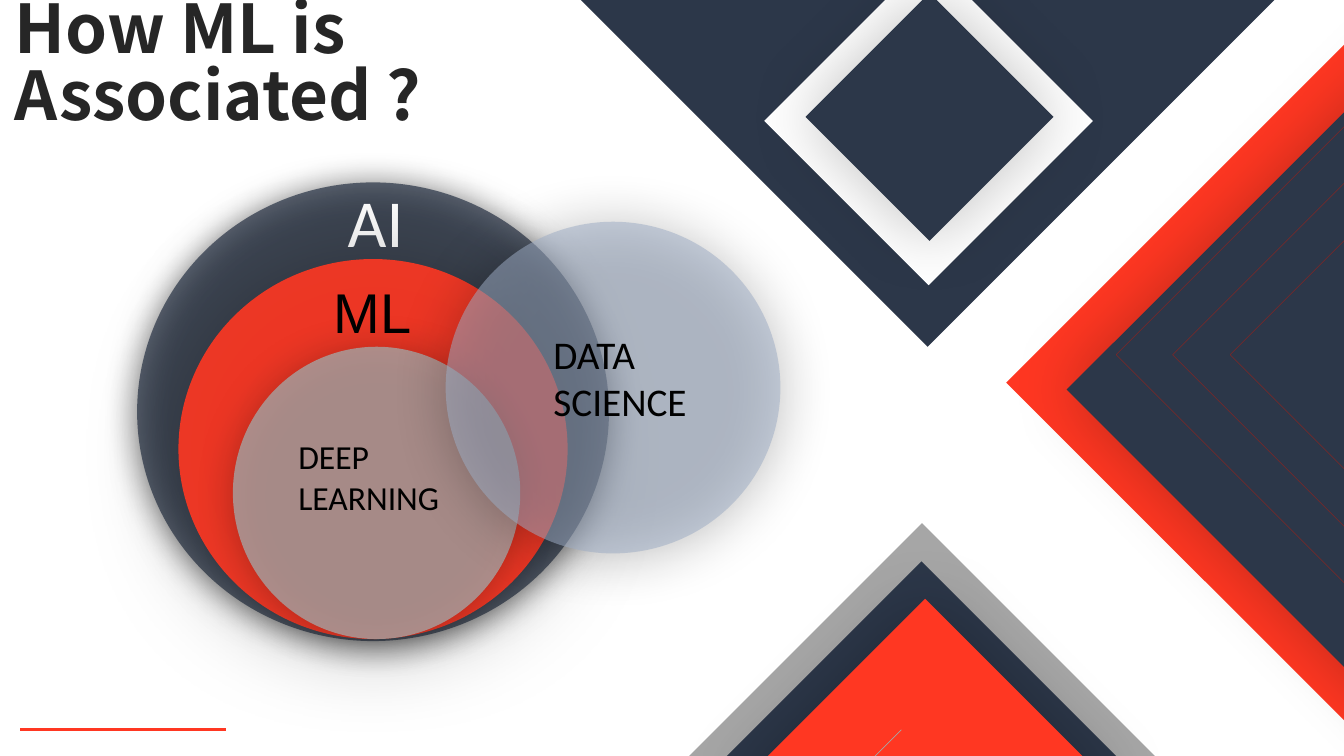
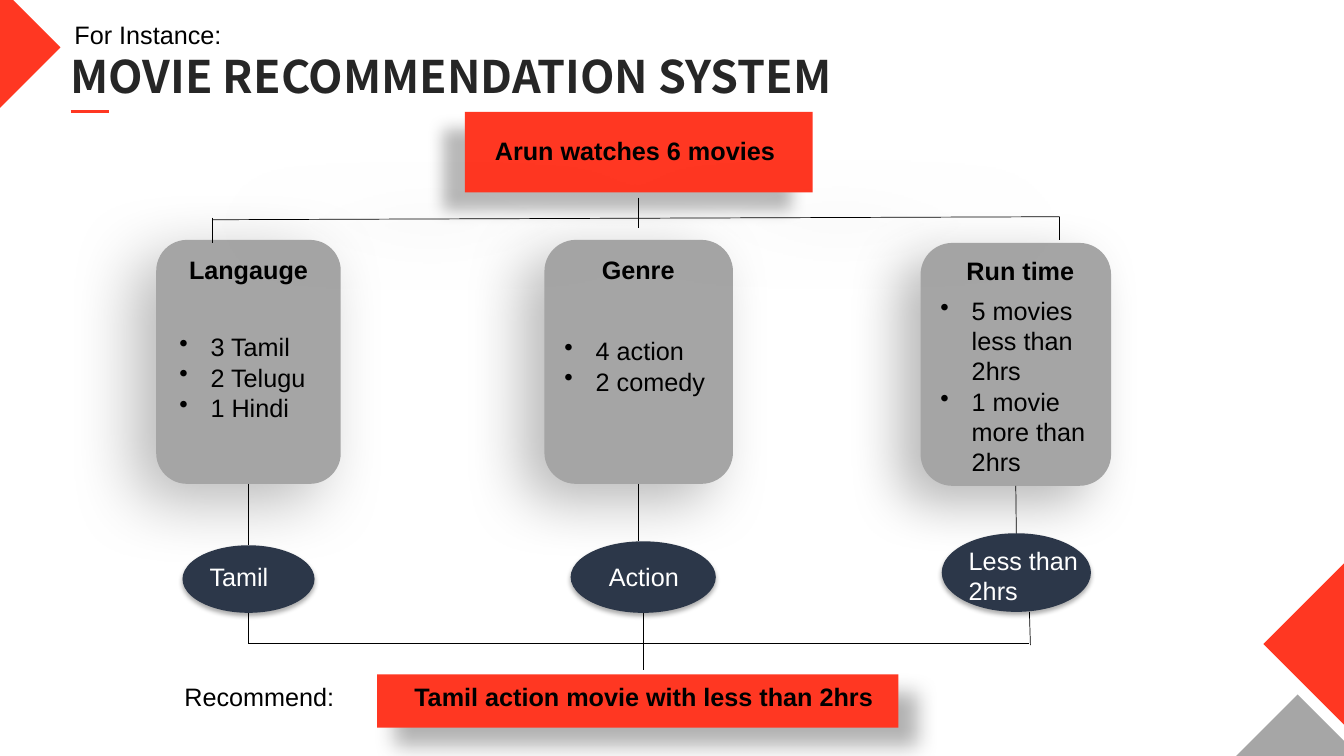
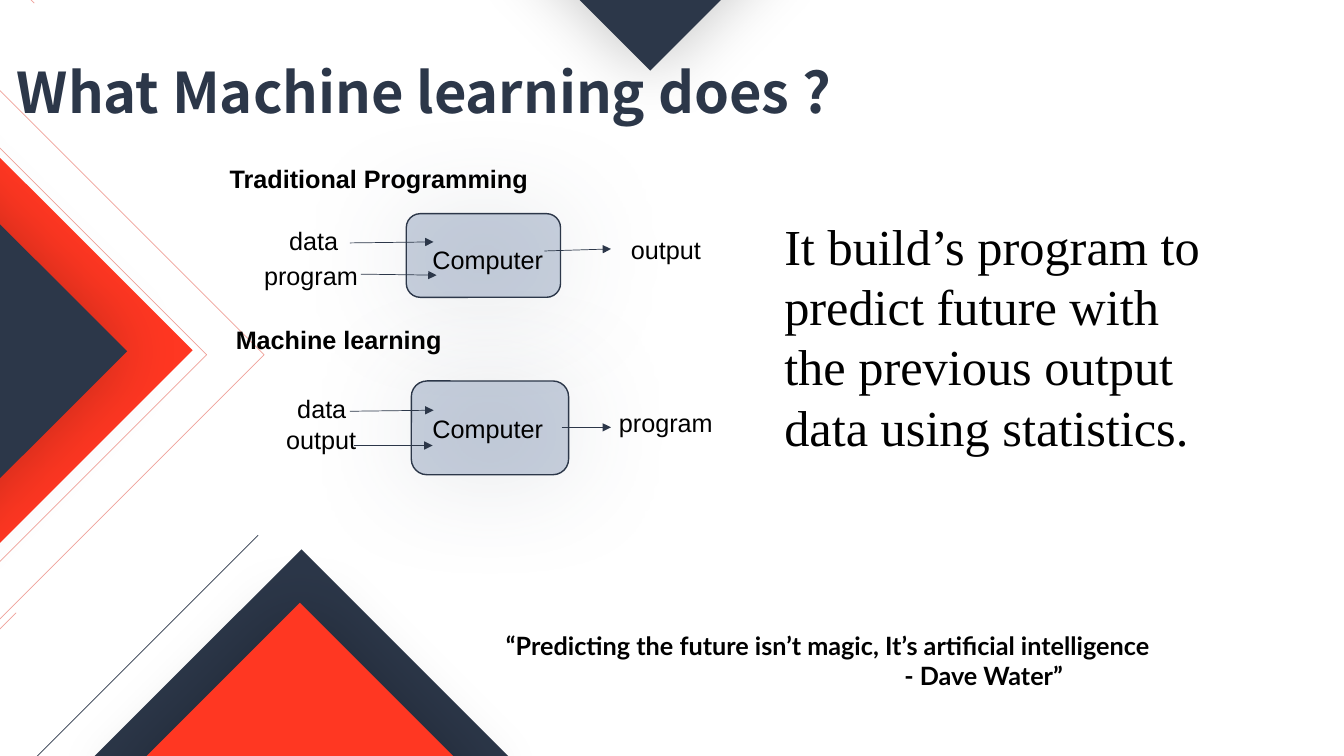
from dataclasses import dataclass

from lxml.etree import SubElement
from pptx import Presentation
from pptx.dml.color import RGBColor
from pptx.enum.shapes import MSO_CONNECTOR, MSO_SHAPE as SHAPE
from pptx.enum.text import PP_ALIGN as ALIGN
from pptx.oxml.ns import qn
from pptx.util import Inches, Pt


@dataclass(frozen=True)
class Theme:
    navy: str = "2C3749"
    red: str = "FF3722"
    dark_red: str = "D91500"
    silver: str = "A6A6A6"
    gray: str = "A5A5A5"
    haze: str = "9DACC4"
    steel: str = "6C82A6"
    slate: str = "44546A"
    ink: str = "262626"
    black: str = "000000"
    white: str = "FFFFFF"
    title_font: str = "Noto Sans CJK SC"
    body_font: str = "Arial"
    venn_font: str = "Calibri"
    quote_font: str = "Lato"
    serif_font: str = "Times New Roman"
    body: int = 18
    deep_label: int = 24
    science_label: int = 28
    small_title: int = 32
    statement: int = 36
    large: int = 40
    huge: int = 48
    hairline: float = 0.5
    outline: float = 1
    accent: float = 2.25


T = Theme()


@dataclass(frozen=True)
class Shadow:
    """Opacity in percent, blur and distance in points, angle in degrees."""
    opacity: float
    blur: float
    distance: float = 0
    angle: float = 0
    color: str = T.black


GLOW = Shadow(23, 49)
OVAL_SHADOW = Shadow(32, 3.5, 2.2, 90)
COMPUTER_SHADOW = Shadow(32, 79, 2.2, 90, T.slate)


def rgb(color):
    return RGBColor.from_string(color)


def set_opacity(fill_parent, percent):
    color = fill_parent.find(qn("a:solidFill")).find(qn("a:srgbClr"))
    SubElement(color, qn("a:alpha"), val=str(percent * 1000))


def set_shadow(element, shadow):
    """Replace the theme's shadow by the given one, or by none."""
    properties = element.spPr
    effects = properties.find(qn("a:effectLst"))
    if effects is None:
        effects = SubElement(properties, qn("a:effectLst"))
    if shadow:
        outer = SubElement(effects, qn("a:outerShdw"),
                           blurRad=str(Pt(shadow.blur)), dist=str(Pt(shadow.distance)),
                           dir=str(shadow.angle * 60000), algn="ctr", rotWithShape="0")
        color = SubElement(outer, qn("a:srgbClr"), val=shadow.color)
        SubElement(color, qn("a:alpha"), val=str(shadow.opacity * 1000))


def add_block(slide, kind, box, fill, shadow=None, opacity=None, outline=None):
    block = slide.shapes.add_shape(kind, *map(Inches, box))
    block.fill.solid()
    block.fill.fore_color.rgb = rgb(fill)
    if opacity:
        set_opacity(block.element.spPr, opacity)
    if outline:
        block.line.color.rgb = rgb(outline)
        block.line.width = Pt(T.outline)
    else:
        block.line.fill.background()
    block.shadow.inherit = False
    set_shadow(block.element, shadow)
    return block


def add_diamond(slide, left, top, size, fill, shadow=None):
    add_block(slide, SHAPE.DIAMOND, (left, top, size, size), fill, shadow)


def add_line(slide, start, end, color=T.black, width=T.hairline,
             opacity=None, arrow=False, shadow=None):
    line = slide.shapes.add_connector(MSO_CONNECTOR.STRAIGHT, *map(Inches, start + end))
    line.line.color.rgb = rgb(color)
    line.line.width = Pt(width)
    stroke = line.element.spPr.find(qn("a:ln"))
    if opacity:
        set_opacity(stroke, opacity)
    if arrow:
        SubElement(stroke, qn("a:tailEnd"), type="triangle")
    set_shadow(line.element, shadow)
    return line


def add_ray(slide, x, y, right, down):
    """Faint diagonal leaving the slide; right and down are 1 or -1."""
    reach = 5.91
    add_line(slide, (x, y), (x + right * reach, y + down * reach), T.dark_red, opacity=40)


def add_chevrons(slide, tips, right):
    for x in tips:
        for down in (1, -1):
            add_ray(slide, x, 3.52, right, down)


def add_text(slide, box, *lines, size=T.body, font=T.body_font, color=T.black,
             bold=False, align=ALIGN.LEFT):
    frame = slide.shapes.add_textbox(*map(Inches, box)).text_frame
    frame.word_wrap = True
    frame.text = "\n".join(lines)
    for paragraph in frame.paragraphs:
        paragraph.alignment = align
        for run in paragraph.runs:
            run.font.size = Pt(size)
            run.font.name = font
            run.font.bold = bold
            run.font.color.rgb = rgb(color)
    return frame


def add_bullets(slide, box, lines):
    for paragraph in add_text(slide, box, *lines).paragraphs:
        properties = paragraph._p.get_or_add_pPr()
        properties.set("marL", str(Inches(0.31)))
        properties.set("indent", str(-Inches(0.31)))
        SubElement(properties, qn("a:buChar"), char="•")


def add_title(slide, box, text, size, color=T.ink):
    frame = add_text(slide, box, text, size=size, font=T.title_font, color=color, bold=True)
    frame.margin_top = Inches(0.1)
    frame.paragraphs[0].line_spacing = 0.83


def add_accent(slide, left, right, y):
    add_line(slide, (left, y), (right, y), T.red, T.accent)


def build_association(slide):
    for diamond in (
        (5.19, -4.58, 8.02, T.navy),
        (9.98, -3.76, 15.11, T.red),
        (4.23, 5.19, 9.83, T.silver),
        (10.58, -1.05, 9.83, T.navy, GLOW),
        (6.62, 5.57, 5.04, T.navy),
        (7.58, -0.43, 3.26, T.white),
        (7.99, -0.07, 2.46, T.navy, GLOW),
        (7.3, 5.94, 3.75, T.red, GLOW),
    ):
        add_diamond(slide, *diamond)
    add_chevrons(slide, (11.07, 11.63, 12.2), right=1)
    add_line(slide, (6.16, 10.02), (8.94, 7.24), T.silver)
    add_title(slide, (0.05, -0.1, 6.57, 1.72), "How ML is Associated ?", T.huge)
    add_accent(slide, 0.2, 2.24, 7.24)

    fields = (
        ((1.36, 1.81, 4.68, 4.55), T.navy, 73, Shadow(78, 25, 2.2, 90),
         "AI", (3.35, 1.74, 2.15, 0.91), T.huge, T.venn_font, T.white),
        ((1.77, 2.57, 3.86, 3.77), T.red, 91, Shadow(32, 74, 2.2, 90),
         "ML", (3.21, 2.7, 1.85, 0.77), T.large, T.body_font, T.black),
        ((2.31, 3.44, 2.85, 2.9), T.gray, 79, Shadow(32, 28, 2.2, 90),
         "DEEP LEARNING", (2.86, 4.28, 1.98, 0.91), T.deep_label, T.venn_font, T.black),
        ((4.42, 2.2, 3.32, 3.29), T.haze, 53, Shadow(48, 41, 2.2, 90),
         "DATA SCIENCE", (5.39, 3.23, 2.15, 1.04), T.science_label, T.venn_font, T.black),
    )
    for circle, fill, opacity, shadow, label, label_box, size, font, color in fields:
        add_block(slide, SHAPE.OVAL, circle, fill, shadow, opacity)
        add_text(slide, label_box, label, size=size, font=font, color=color)


def build_recommendation(slide):
    add_title(slide, (0.6, 0.47, 8.22, 0.64), "MOVIE RECOMMENDATION SYSTEM", T.small_title)
    add_accent(slide, 0.7, 1.08, 1.11)
    for diamond in ((12.53, 4.65, 3.48, T.red), (11.74, 6.89, 2.26, T.silver),
                    (-2.88, -1.27, 3.48, T.red)):
        add_diamond(slide, *diamond)

    add_block(slide, SHAPE.RECTANGLE, (4.61, 1.11, 3.45, 0.8), T.red,
              Shadow(28, 11.8, 19.7, 141))
    add_block(slide, SHAPE.RECTANGLE, (3.74, 6.69, 5.17, 0.53), T.red,
              Shadow(30, 15, 18, 45))

    features = (
        ((1.55, 2.38, 1.83, 2.42), 48, "Langauge", (1.72, 2.47, 1.49, 0.4),
         ("3 Tamil", "2 Telugu", "1 Hindi"), (1.68, 3.24, 1.49, 1.01),
         (1.81, 5.41, 1.31, 0.67), "Tamil", (1.98, 5.52, 0.95, 0.4)),
        ((5.4, 2.38, 1.87, 2.42), 43, "Genre", (5.66, 2.47, 1.34, 0.4),
         ("4 action", "2 comedy"), (5.5, 3.28, 1.6, 0.71),
         (5.66, 5.37, 1.44, 0.71), "Action", (5.94, 5.52, 1.06, 0.4)),
        ((9.13, 2.41, 1.89, 2.41), 38, "Run time", (9.38, 2.48, 1.48, 0.4),
         ("5 movies less than 2hrs", "1 movie more than 2hrs"), (9.23, 2.88, 2, 1.92),
         (9.34, 5.29, 1.48, 0.78), "Less than 2hrs", (9.51, 5.36, 1.3, 0.71)),
    )
    for (card_box, blur, heading, heading_box, facts, facts_box,
         oval_box, choice, choice_box) in features:
        card = add_block(slide, SHAPE.ROUNDED_RECTANGLE, card_box, T.gray,
                         Shadow(28, blur, 19.7, 141))
        oval = add_block(slide, SHAPE.OVAL, oval_box, T.navy, OVAL_SHADOW)
        center = card_box[0] + card_box[2] / 2
        stem = add_line(slide, (center, card_box[1] + card_box[3]), (center, oval_box[1]))
        stem.begin_connect(card, 2)
        if abs(oval_box[0] + oval_box[2] / 2 - center) < 0.02:
            stem.end_connect(oval, 0)
        add_text(slide, heading_box, heading, bold=True, align=ALIGN.CENTER)
        add_bullets(slide, facts_box, facts)
        add_text(slide, choice_box, choice, color=T.white)

    add_line(slide, (2.11, 2.18), (10.51, 2.15), shadow=Shadow(75, 47, 4, 90))
    for start, end in (
        ((6.33, 1.96), (6.33, 2.26)),
        ((2.11, 2.16), (2.11, 2.41)),
        ((10.51, 2.15), (10.51, 2.38)),
        ((2.46, 6.38), (10.21, 6.38)),
        ((6.38, 6.08), (6.38, 6.65)),
        ((2.46, 6.08), (2.46, 6.38)),
        ((10.21, 6.07), (10.22, 6.4)),
    ):
        add_line(slide, start, end)

    add_text(slide, (4.81, 1.29, 3, 0.4), "Arun watches 6 movies", bold=True)
    add_text(slide, (3.85, 6.71, 5.07, 0.4), "Tamil action movie with less than 2hrs",
             bold=True, align=ALIGN.CENTER)
    add_text(slide, (1.73, 6.71, 1.91, 0.4), "Recommend:")
    add_text(slide, (0.64, 0.14, 4.17, 0.4), "For Instance:")


def build_purpose(slide):
    for diamond in (
        (-13.2, -4.08, 15.11, T.red),
        (-8.57, -1.43, 9.83, T.navy, GLOW),
        (0.47, 5.45, 5.04, T.navy),
        (5.22, -1.76, 2.46, T.navy, GLOW),
        (1.1, 5.98, 3.75, T.red, GLOW),
    ):
        add_diamond(slide, *diamond)
    add_chevrons(slide, (2.05, 2.62), right=-1)
    add_ray(slide, 0.16, 6.08, -1, 1)
    add_ray(slide, 0.34, 0.03, -1, -1)
    add_line(slide, (2.56, 5.31), (-3.35, 11.22), T.navy)
    add_title(slide, (0.07, 0.58, 8.69, 0.77), "What Machine learning does ?",
              T.large, T.navy)

    for computer in ((4.03, 2.12, 1.53, 0.83), (4.08, 3.78, 1.56, 0.93)):
        add_block(slide, SHAPE.ROUNDED_RECTANGLE, computer, T.steel, COMPUTER_SHADOW,
                  opacity=36, outline=T.navy)
    for start, end in (
        ((3.47, 2.41), (4.3, 2.4)),
        ((3.58, 2.72), (4.33, 2.73)),
        ((5.4, 2.49), (6.06, 2.47)),
        ((3.47, 4.08), (4.3, 4.07)),
        ((3.51, 4.42), (4.29, 4.42)),
        ((5.57, 4.24), (6.06, 4.24)),
    ):
        add_line(slide, start, end, T.navy, arrow=True)

    for left, top, width, label in (
        (4.19, 2.37, 1.48, "Computer"),
        (4.19, 4.05, 1.48, "Computer"),
        (2.77, 2.19, 0.87, "data"),
        (2.52, 2.53, 1.32, "program"),
        (6.16, 2.28, 1.27, "output"),
        (2.85, 3.85, 0.87, "data"),
        (2.74, 4.16, 1.27, "output"),
        (6.04, 3.99, 1.32, "program"),
    ):
        add_text(slide, (left, top, width, 0.4), label)
    add_text(slide, (2.18, 1.57, 3.56, 0.4), "Traditional Programming", bold=True)
    add_text(slide, (2.24, 3.17, 2.43, 0.4), "Machine learning", bold=True)

    add_text(slide, (7.68, 2.08, 4.52, 2.52),
             "It build’s program to predict future with the previous output "
             "data using statistics.", size=T.statement, font=T.serif_font)
    quote = add_text(slide, (4.92, 6.2, 7.01, 0.71),
                     "“Predicting the future isn’t magic, It’s artificial intelligence",
                     "- Dave Water”", font=T.quote_font, bold=True)
    quote.paragraphs[1]._p.get_or_add_pPr().set("marL", str(Inches(3.95)))


def main():
    deck = Presentation()
    deck.slide_width, deck.slide_height = Inches(13.33), Inches(7.5)
    for build in (build_association, build_recommendation, build_purpose):
        build(deck.slides.add_slide(deck.slide_layouts[6]))
    deck.save("out.pptx")


if __name__ == "__main__":
    main()
